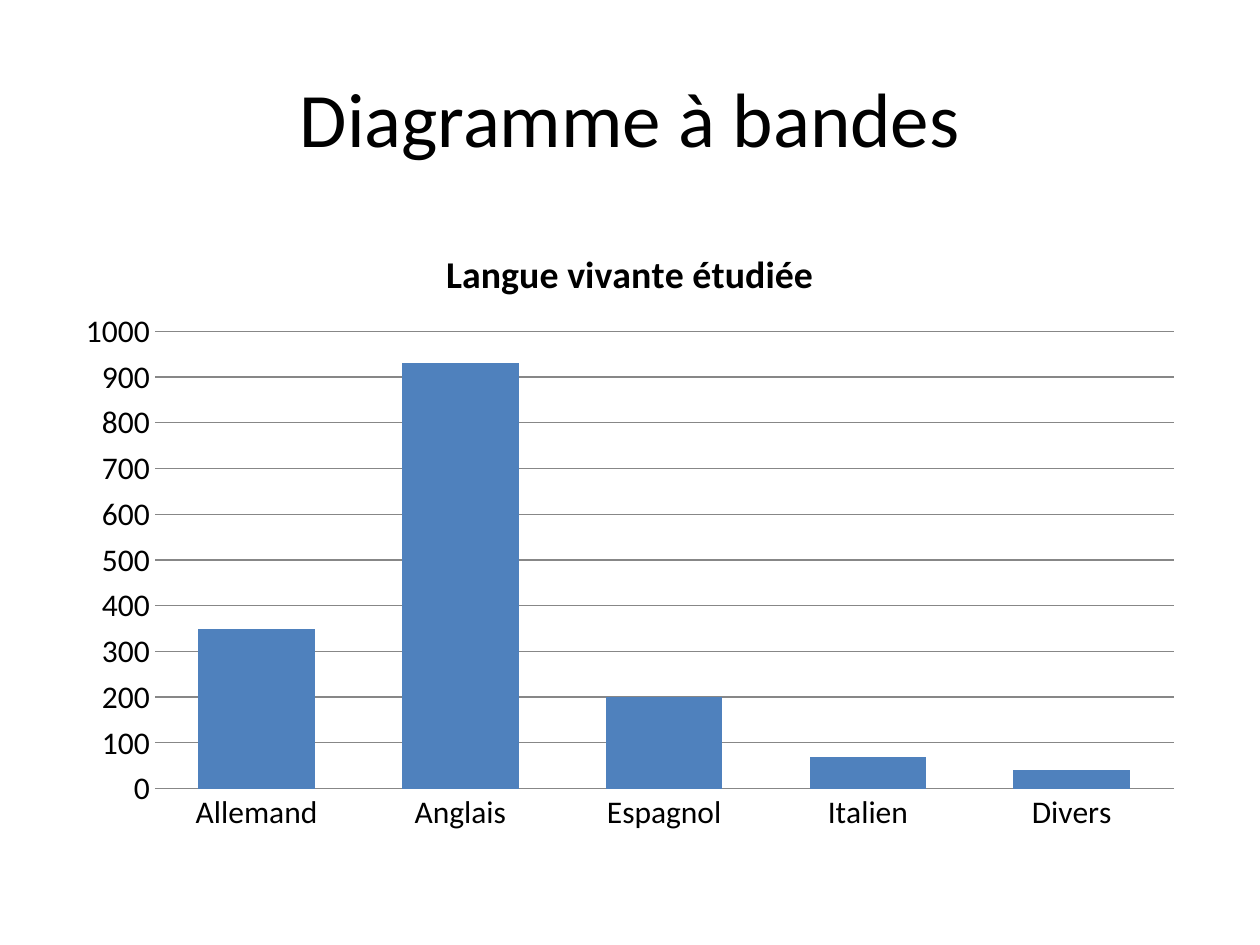
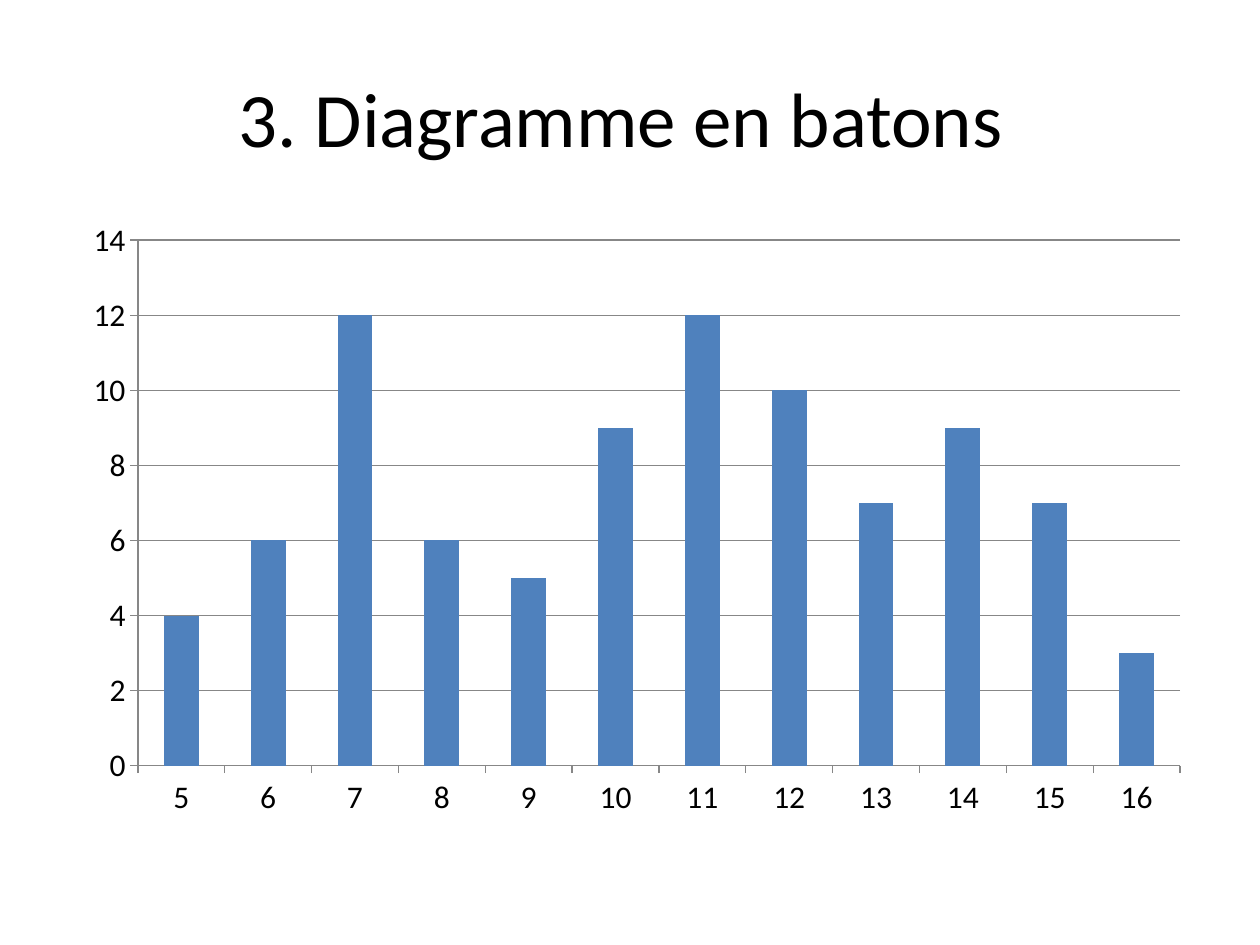
import dataclasses

import lxml.etree
import pptx
import pptx.chart.data
import pptx.dml.color
import pptx.enum.chart
import pptx.enum.text
import pptx.oxml.ns
import pptx.util

Cm = pptx.util.Cm
Pt = pptx.util.Pt
CHART_TYPES = pptx.enum.chart.XL_CHART_TYPE
TICKS = pptx.enum.chart.XL_TICK_MARK


@dataclasses.dataclass(frozen=True)
class Theme:
    font: str = "Calibri"
    ink: str = "000000"
    paper: str = "FFFFFF"
    bars: tuple = ("4F81BD", "C0504D", "9BBB59")
    rule: str = "878787"
    heading_size: float = 44
    chart_title_size: float = 21.6
    label_size: float = 18
    rule_width: float = 0.75


def rgb(code):
    return pptx.dml.color.RGBColor.from_string(code)


def apply(target, values):
    for name, value in values.items():
        setattr(target, name, value)


class Deck:
    """Holds the style and the slide being built."""

    heading_box = dict(left=Cm(1.27), top=Cm(0.76), width=Cm(22.86), height=Cm(3.18))
    chart_box = (Cm(1.27), Cm(4.45), Cm(22.86), Cm(12.57))

    def __init__(self, theme):
        self.theme = theme
        self.presentation = pptx.Presentation()
        apply(self.presentation, dict(slide_width=Cm(25.4), slide_height=Cm(19.05)))
        self.slide = None

    def style_font(self, font, size, bold=False):
        apply(font, dict(name=self.theme.font, size=Pt(size), bold=bold))
        font.color.rgb = rgb(self.theme.ink)

    def style_line(self, line):
        line.color.rgb = rgb(self.theme.rule)
        line.width = Pt(self.theme.rule_width)

    def add_slide(self, heading):
        title_only = self.presentation.slide_layouts[5]
        self.slide = self.presentation.slides.add_slide(title_only)
        background = self.slide.background.fill
        background.solid()
        background.fore_color.rgb = rgb(self.theme.paper)

        title = self.slide.shapes.title
        apply(title, self.heading_box)
        title.text_frame.text = heading
        title.text_frame.vertical_anchor = pptx.enum.text.MSO_ANCHOR.MIDDLE
        paragraph = title.text_frame.paragraphs[0]
        paragraph.alignment = pptx.enum.text.PP_ALIGN.CENTER
        self.style_font(paragraph.runs[0].font, self.theme.heading_size)

    def add_columns(self, kind, categories, series, gap, overlap, ticks, scale,
                    plot_box, title=None, value_line=True):
        data = pptx.chart.data.CategoryChartData()
        data.categories = categories
        for number, values in enumerate(series, start=1):
            data.add_series(f"Series {number}", values)
        chart = self.slide.shapes.add_chart(kind, *self.chart_box, data).chart
        self.style_font(chart.font, self.theme.label_size)
        apply(chart, dict(has_legend=False, has_title=bool(title)))
        if title:
            self.add_chart_title(chart, title)

        # Bars
        bars = chart.plots[0]
        apply(bars, dict(gap_width=gap, overlap=overlap, vary_by_categories=False))
        for bar_series, colour in zip(bars.series, self.theme.bars):
            fill = bar_series.format.fill
            fill.solid()
            fill.fore_color.rgb = rgb(colour)

        # Axes and gridlines
        for axis in (chart.category_axis, chart.value_axis):
            apply(axis, dict(major_tick_mark=ticks, minor_tick_mark=TICKS.NONE))
            self.style_line(axis.format.line)
        top, step = scale
        apply(chart.value_axis, dict(minimum_scale=0, maximum_scale=top,
                                     major_unit=step, has_major_gridlines=True))
        self.style_line(chart.value_axis.major_gridlines.format.line)
        if not value_line:
            chart.value_axis.format.line.fill.background()
        self.place_plot(chart, plot_box)

    def add_chart_title(self, chart, text):
        frame = chart.chart_title.text_frame
        frame.text = text
        self.style_font(frame.paragraphs[0].runs[0].font,
                        self.theme.chart_title_size, bold=True)
        chart.chart_title.include_in_layout = False

    def place_plot(self, chart, plot_box):
        """Place the inner plot by lengths measured inside the chart."""
        qn = pptx.oxml.ns.qn
        area = chart.element.find(f".//{qn('c:plotArea')}")
        for automatic in area.findall(qn("c:layout")):
            area.remove(automatic)
        layout = lxml.etree.Element(qn("c:layout"))
        manual = lxml.etree.SubElement(layout, qn("c:manualLayout"))
        settings = dict(layoutTarget="inner", xMode="edge", yMode="edge")
        chart_size = self.chart_box[2:] * 2
        for name, length, whole in zip("xywh", plot_box, chart_size):
            settings[name] = length / whole
        for name, value in settings.items():
            lxml.etree.SubElement(manual, qn(f"c:{name}")).set("val", str(value))
        area.insert(0, layout)


def main():
    deck = Deck(Theme())

    # Languages studied
    deck.add_slide("Diagramme à bandes")
    languages = {"Allemand": 350, "Anglais": 930, "Espagnol": 200,
                 "Italien": 70, "Divers": 40}
    deck.add_columns(CHART_TYPES.COLUMN_CLUSTERED, list(languages),
                     [list(languages.values())], gap=75, overlap=-25,
                     ticks=TICKS.NONE, scale=(1000, 100),
                     plot_box=(Cm(1.85), Cm(2.23), Cm(20.54), Cm(9.22)),
                     title="Langue vivante étudiée", value_line=False)

    # Counts for each value from 5 to 16, with two series left unfilled
    deck.add_slide("3. Diagramme en batons ")
    frequencies = [4, 6, 12, 6, 5, 9, 12, 10, 7, 9, 7, 3]
    unfilled = [None] * len(frequencies)
    deck.add_columns(CHART_TYPES.COLUMN_STACKED, [str(value) for value in range(5, 17)],
                     [frequencies, unfilled, unfilled], gap=150, overlap=100,
                     ticks=TICKS.OUTSIDE, scale=(14, 2),
                     plot_box=(Cm(1.51), Cm(0.39), Cm(21.01), Cm(10.6)))

    deck.presentation.save("out.pptx")


if __name__ == "__main__":
    main()
